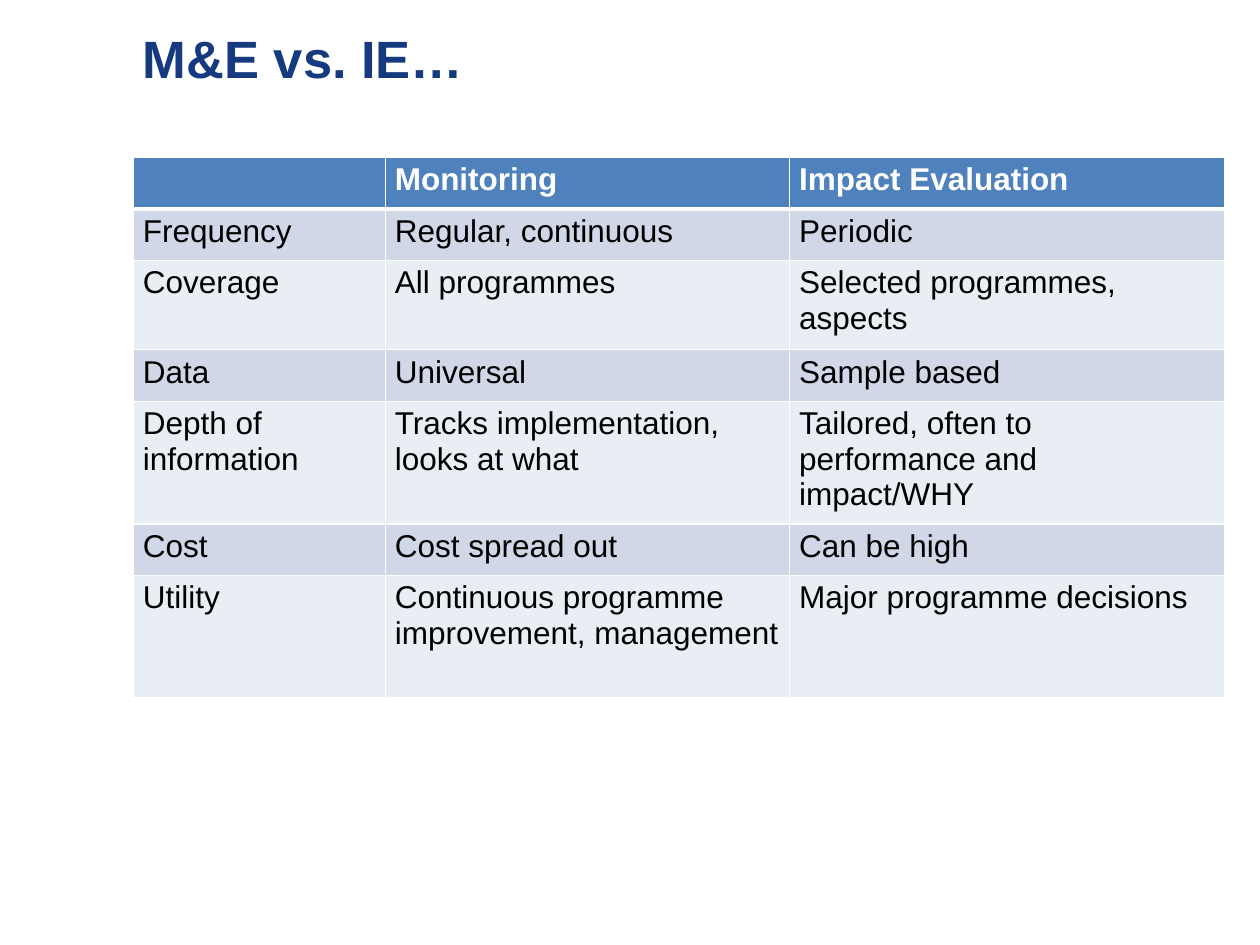
from dataclasses import dataclass

from lxml import etree
from pptx import Presentation
from pptx.dml.color import RGBColor
from pptx.enum.text import MSO_ANCHOR, MSO_AUTO_SIZE, PP_ALIGN
from pptx.oxml.ns import qn
from pptx.slide import Slide
from pptx.table import _Cell
from pptx.text.text import TextFrame
from pptx.util import Cm, Pt

TOP = MSO_ANCHOR.TOP
LEFT = PP_ALIGN.LEFT
NO_AUTOFIT = MSO_AUTO_SIZE.NONE
TITLE_ONLY = 5


@dataclass(frozen=True)
class Theme:
    """Colours, font and type sizes of the slide."""

    font: str = "Arial"
    title: str = "153A80"
    header: str = "4F81BD"
    bands: tuple[str, str] = ("D0D8E8", "E9EDF4")
    light: str = "FFFFFF"
    dark: str = "000000"
    title_size: float = 30
    table_size: float = 18
    rule: float = 1
    header_rule: float = 3


@dataclass(frozen=True)
class Comparison:
    """One table row: its aspect, both entries and its height in cm."""

    aspect: str
    monitoring: str
    evaluation: str
    height: float = 1.04


THEME = Theme()
MARGIN_LEFT, CONTENT_WIDTH = 2.69, 22.0
COLUMN_WIDTHS = (5.08, 8.15, 8.77)
INSETS = {
    "margin_left": Cm(0.19),
    "margin_right": Cm(0.19),
    "margin_top": Cm(0.1),
    "margin_bottom": Cm(0.1),
    "vertical_anchor": TOP,
}
COMPARISONS = (
    Comparison("", "Monitoring", "Impact Evaluation"),
    Comparison("Frequency", "Regular, continuous", "Periodic"),
    Comparison("Coverage", "All programmes", "Selected programmes, aspects", 1.8),
    Comparison("Data", "Universal", "Sample based"),
    Comparison(
        "Depth of information",
        "Tracks implementation, looks at what",
        "Tailored, often to performance and impact/WHY",
        2.47,
    ),
    Comparison("Cost", "Cost spread out", "Can be high"),
    Comparison(
        "Utility",
        "Continuous programme improvement, management",
        "Major programme decisions",
        2.47,
    ),
)


def apply(target: object, values: dict) -> None:
    """Set each named attribute of the target."""
    for name, value in values.items():
        setattr(target, name, value)


def write(frame: TextFrame, text: str, size: float, color: str, bold: bool) -> None:
    """Fill a text frame with one left-aligned paragraph."""
    frame.text = text
    paragraph = frame.paragraphs[0]
    paragraph.alignment = LEFT
    font = paragraph.font if not text else paragraph.runs[0].font
    apply(font, {"name": THEME.font, "size": Pt(size), "bold": bold})
    font.color.rgb = RGBColor.from_string(color)


def add_borders(cell: _Cell, widths: dict[str, float]) -> None:
    """Draw solid borders, given by side, ahead of the cell's fill."""
    properties = cell._tc.get_or_add_tcPr()
    for position, (side, width) in enumerate(widths.items()):
        line = etree.Element(qn(f"a:ln{side}"), w=str(int(Pt(width))))
        fill = etree.SubElement(line, qn("a:solidFill"))
        etree.SubElement(fill, qn("a:srgbClr"), val=THEME.light)
        properties.insert(position, line)


def format_cell(cell: _Cell, text: str, row: int) -> None:
    """Write and style a cell according to its row."""
    is_header = row == 0
    apply(cell, INSETS)
    write(
        cell.text_frame,
        text,
        THEME.table_size,
        THEME.light if is_header else THEME.dark,
        is_header,
    )
    cell.fill.solid()
    background = THEME.header if is_header else THEME.bands[(row - 1) % 2]
    cell.fill.fore_color.rgb = RGBColor.from_string(background)
    widths = dict.fromkeys("LRTB", THEME.rule)
    if row < 2:
        widths["B" if is_header else "T"] = THEME.header_rule
    add_borders(cell, widths)


def add_comparison_table(slide: Slide, comparisons: tuple[Comparison, ...]) -> None:
    """Add the table that sets monitoring against impact evaluation."""
    height = sum(comparison.height for comparison in comparisons)
    table = slide.shapes.add_table(
        len(comparisons),
        len(COLUMN_WIDTHS),
        Cm(MARGIN_LEFT),
        Cm(3.17),
        Cm(CONTENT_WIDTH),
        Cm(height),
    ).table
    for column, width in zip(table.columns, COLUMN_WIDTHS):
        column.width = Cm(width)
    for row, comparison in enumerate(comparisons):
        table.rows[row].height = Cm(comparison.height)
        entries = (comparison.aspect, comparison.monitoring, comparison.evaluation)
        for column, entry in enumerate(entries):
            format_cell(table.cell(row, column), entry, row)


def set_title(slide: Slide, heading: str) -> None:
    """Place and format the slide title."""
    title = slide.shapes.title
    apply(
        title,
        {
            "left": Cm(MARGIN_LEFT),
            "top": Cm(0.43),
            "width": Cm(CONTENT_WIDTH),
            "height": Cm(2.29),
        },
    )
    frame = title.text_frame
    apply(frame, INSETS | {"word_wrap": True, "auto_size": NO_AUTOFIT})
    write(frame, heading, THEME.title_size, THEME.title, True)


def main() -> None:
    """Build and save the slide."""
    presentation = Presentation()
    apply(presentation, {"slide_width": Cm(25.4), "slide_height": Cm(19.05)})
    slide = presentation.slides.add_slide(presentation.slide_layouts[TITLE_ONLY])
    set_title(slide, "M&E vs. IE…")
    add_comparison_table(slide, COMPARISONS)
    presentation.save("out.pptx")


if __name__ == "__main__":
    main()
